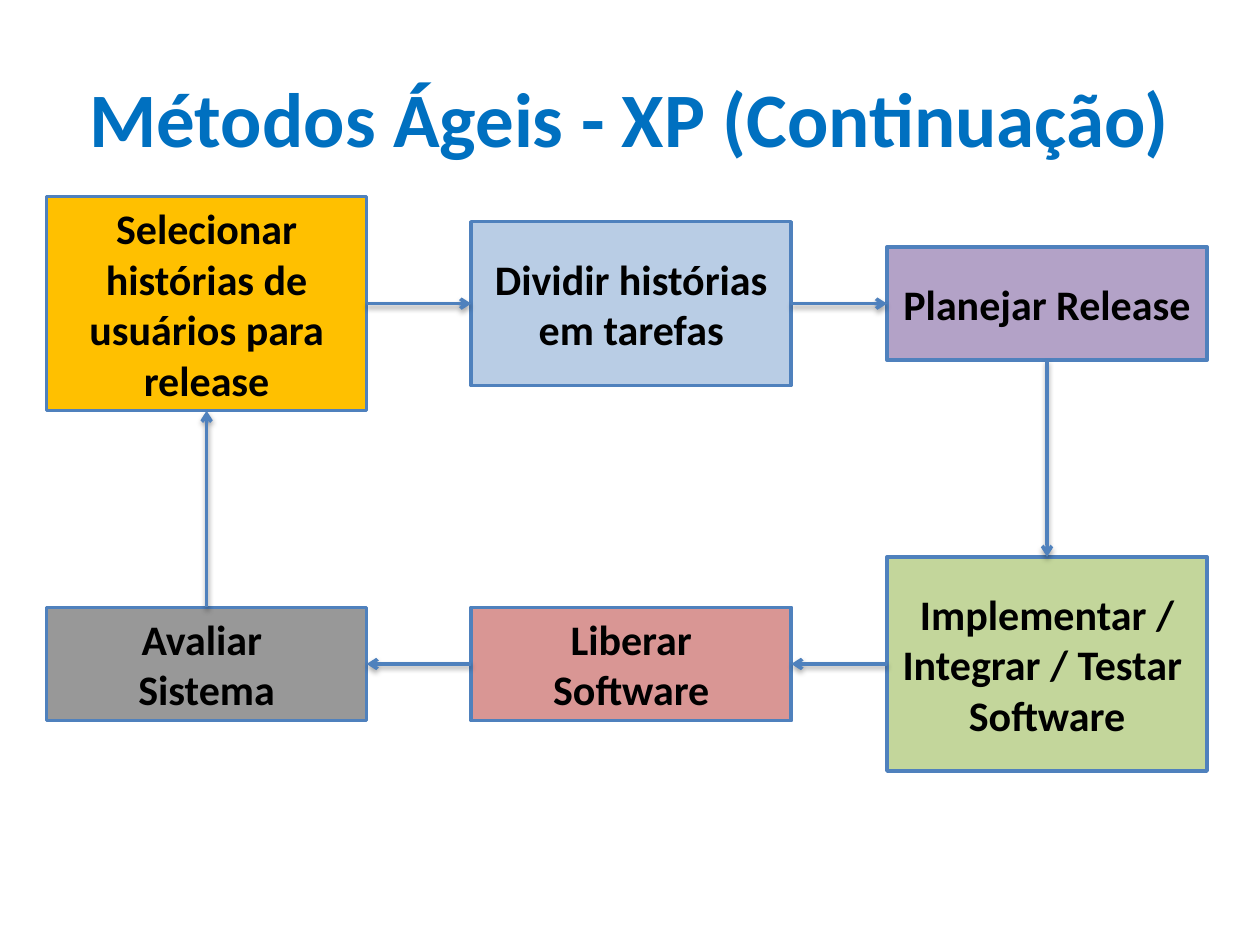
import pptx
import pptx.dml.color
import pptx.enum.shapes
import pptx.enum.text
import pptx.oxml
import pptx.oxml.ns
import pptx.util

Inches = pptx.util.Inches
RGBColor = pptx.dml.color.RGBColor

BLUE_TITLE = RGBColor(0x00, 0x70, 0xC0)
BLUE_LINE = RGBColor(0x4F, 0x81, 0xBD)
BLACK = RGBColor(0x00, 0x00, 0x00)
AMBER = RGBColor(0xFF, 0xC0, 0x00)
LIGHT_BLUE = RGBColor(0xB9, 0xCD, 0xE5)
PURPLE = RGBColor(0xB3, 0xA2, 0xC7)
GREY = RGBColor(0x98, 0x98, 0x98)
RED = RGBColor(0xD9, 0x96, 0x94)
GREEN = RGBColor(0xC3, 0xD6, 0x9B)

SLIDE_WIDTH, SLIDE_HEIGHT = 10, 7.5
COLUMN_LEFTS = (0.37, 3.74, 7.04)
ROW_CENTRES = (2.41, 5.27)
BOX_WIDTH = 2.54
LINE_HEIGHT = 0.4
INSET = 0.05
TOP, LEFT, BOTTOM, RIGHT = range(4)  # connection sites of a rectangle

# text, fill, column, row, height in text lines; in the order of the cycle
STEPS = (
    ("Selecionar histórias de usuários para release", AMBER, 0, 0, 4),
    ("Dividir histórias em tarefas", LIGHT_BLUE, 1, 0, 3),
    ("Planejar Release", PURPLE, 2, 0, 2),
    ("Implementar / Integrar / Testar \nSoftware", GREEN, 2, 1, 4),
    ("Liberar\nSoftware", RED, 1, 1, 2),
    ("Avaliar \nSistema", GREY, 0, 1, 2),
)
# sites where the arrow leaves each step and enters the next
ARROW_SITES = (
    (RIGHT, LEFT), (RIGHT, LEFT), (BOTTOM, TOP),
    (LEFT, RIGHT), (LEFT, RIGHT), (TOP, BOTTOM),
)

SHADOW_XML = (
    f'<a:effectLst {pptx.oxml.ns.nsdecls("a")}>'
    '<a:outerShdw blurRad="38100" dist="22860" dir="5400000" rotWithShape="0">'
    '<a:srgbClr val="000000"><a:alpha val="35000"/></a:srgbClr>'
    '</a:outerShdw></a:effectLst>'
)
ARROWHEAD_XML = f'<a:tailEnd {pptx.oxml.ns.nsdecls("a")} type="arrow"/>'


def write_text(shape, text, size=24, color=BLACK, bold=True, font="Calibri"):
    frame = shape.text_frame
    frame.text = text
    frame.word_wrap = True
    frame.auto_size = pptx.enum.text.MSO_AUTO_SIZE.NONE
    frame.vertical_anchor = pptx.enum.text.MSO_ANCHOR.MIDDLE
    frame.margin_left = frame.margin_right = Inches(INSET)
    frame.margin_top = frame.margin_bottom = Inches(INSET)
    for paragraph in frame.paragraphs:
        paragraph.alignment = pptx.enum.text.PP_ALIGN.CENTER
        for run in paragraph.runs:
            run.font.name = font
            run.font.size = pptx.util.Pt(size)
            run.font.bold = bold
            run.font.color.rgb = color


def style_line(line):
    line.color.rgb = BLUE_LINE
    line.width = pptx.util.Pt(2)


def add_title(slide, left, top, width, height):
    title = slide.shapes.title
    title.left, title.top = Inches(left), Inches(top)
    title.width, title.height = Inches(width), Inches(height)
    write_text(title, "Métodos Ágeis - XP (Continuação)", size=44, color=BLUE_TITLE)


def add_step(slide, text, fill, column, row, lines):
    height = lines * LINE_HEIGHT + 2 * INSET
    box = slide.shapes.add_shape(
        pptx.enum.shapes.MSO_SHAPE.RECTANGLE,
        Inches(COLUMN_LEFTS[column]), Inches(ROW_CENTRES[row] - height / 2),
        Inches(BOX_WIDTH), Inches(height))
    box.shadow.inherit = False
    box.fill.solid()
    box.fill.fore_color.rgb = fill
    style_line(box.line)
    write_text(box, text)
    return box


def add_arrow(slide, start, start_site, end, end_site):
    arrow = slide.shapes.add_connector(
        pptx.enum.shapes.MSO_CONNECTOR.STRAIGHT, 0, 0, 0, 0)
    arrow.begin_connect(start, start_site)
    arrow.end_connect(end, end_site)
    style_line(arrow.line)
    properties = arrow.element.spPr
    properties.find(pptx.oxml.ns.qn("a:ln")).append(pptx.oxml.parse_xml(ARROWHEAD_XML))
    properties.append(pptx.oxml.parse_xml(SHADOW_XML))


def add_cycle(slide):
    boxes = [add_step(slide, *step) for step in STEPS]
    following = boxes[1:] + boxes[:1]
    for start, end, (start_site, end_site) in zip(boxes, following, ARROW_SITES):
        add_arrow(slide, start, start_site, end, end_site)


def main():
    presentation = pptx.Presentation()
    presentation.slide_width = Inches(SLIDE_WIDTH)
    presentation.slide_height = Inches(SLIDE_HEIGHT)
    title_only = presentation.slide_layouts.get_by_name("Title Only")
    slide = presentation.slides.add_slide(title_only)
    add_title(slide, 0.05 * SLIDE_WIDTH, 0.04 * SLIDE_HEIGHT, 0.9 * SLIDE_WIDTH, 1.25)
    add_cycle(slide)
    presentation.save("out.pptx")


if __name__ == "__main__":
    main()
